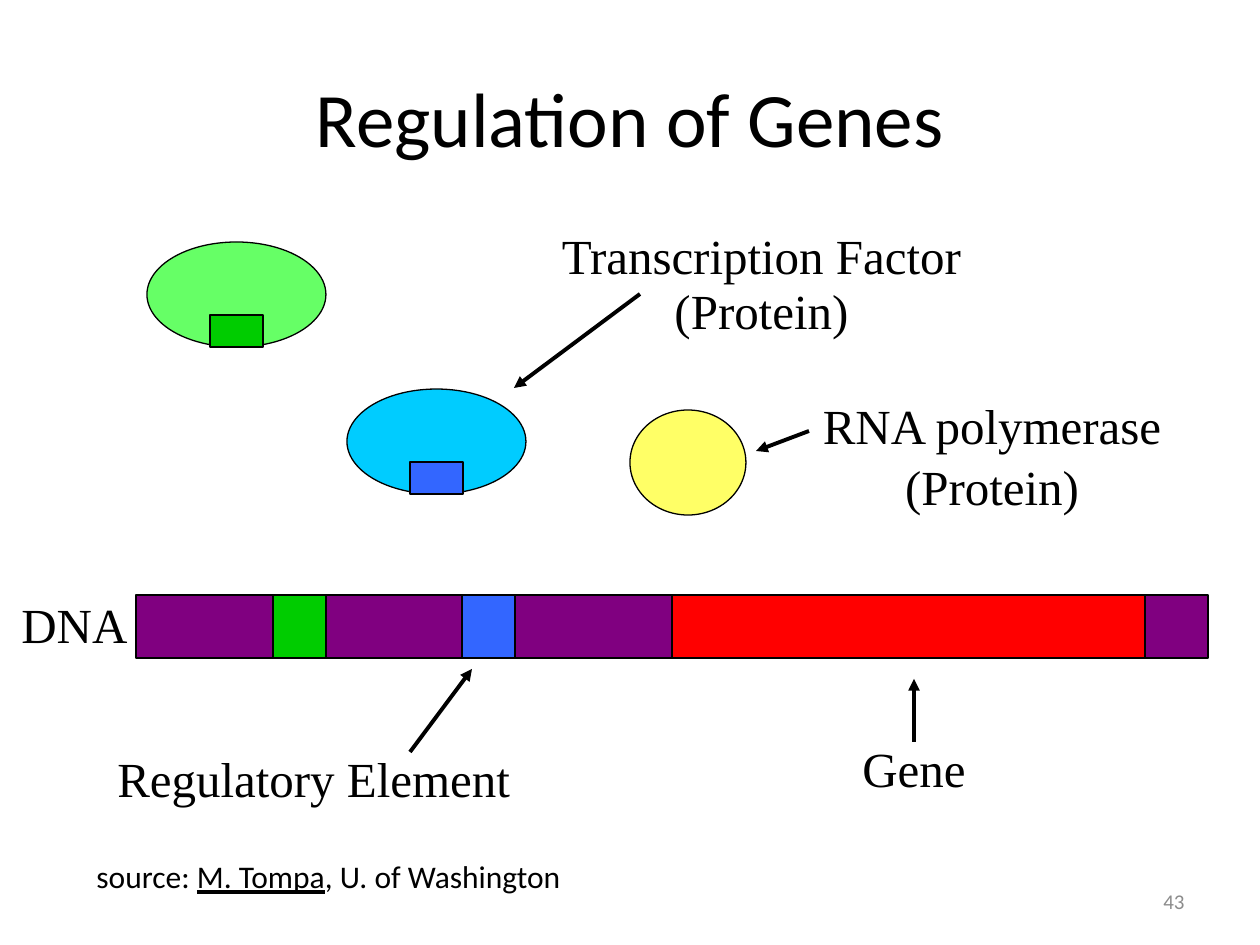
import pptx
import pptx.util
import pptx.dml.color
import pptx.enum.shapes
import pptx.enum.text
import pptx.oxml
import pptx.oxml.ns

PX = 914400 / 126  # EMU per pixel
THEME = {
    "black": "000000", "grey": "8C8C8C", "strand": "800080", "gene": "FF0000",
    "green": "00CC00", "light_green": "66FF66", "blue": "3366FF", "cyan": "00CCFF",
    "yellow": "FFFF66", "heading": "Calibri", "label": "Times New Roman",
    "title_size": 44, "label_size": 28, "source_size": 18, "number_size": 12,
}
MSO = pptx.enum.shapes.MSO_SHAPE
ALIGN = pptx.enum.text.PP_ALIGN
ANCHOR = pptx.enum.text.MSO_ANCHOR


def color(name):
    return pptx.dml.color.RGBColor.from_string(THEME[name])


def add_text(box, paragraphs, font="label", size="label_size", fill="black",
             align=ALIGN.LEFT, anchor=ANCHOR.TOP):
    """Each paragraph is (runs, line spacing, points before); a run is (text, underline)."""
    tf = s.shapes.add_textbox(*[round(v * PX) for v in box]).text_frame
    tf.word_wrap = True
    tf.vertical_anchor = anchor
    for i, (runs, spacing, before) in enumerate(paragraphs):
        p = tf.add_paragraph() if i else tf.paragraphs[0]
        p.alignment = align
        p.line_spacing = spacing
        if before:
            p.space_before = pptx.util.Pt(before)
        for text, underline in runs:
            r = p.add_run()
            r.text = text
            r.font.name = THEME[font]
            r.font.size = pptx.util.Pt(THEME[size])
            r.font.color.rgb = color(fill)
            r.font.underline = underline


prs = pptx.Presentation()
prs.slide_width = round(1260 * PX)
prs.slide_height = round(945 * PX)
s = prs.slides.add_slide(prs.slide_layouts[6])

# Title and page number
add_text((63, 38, 1134, 157), [([("Regulation of Genes", False)], 1.0, 0)],
         "heading", "title_size", align=ALIGN.CENTER, anchor=ANCHOR.MIDDLE)
add_text((903, 876, 294, 50), [([("43", False)], 1.0, 0)],
         "heading", "number_size", "grey", ALIGN.RIGHT, ANCHOR.MIDDLE)

# DNA strand with gene and binding sites, then the proteins
BAR_TOP, BAR_H = 595, 63
shapes = [(MSO.RECTANGLE, x, BAR_TOP, w, BAR_H, fill) for x, w, fill in (
    (136, 536, "strand"), (672, 473, "gene"), (1145, 63, "strand"),
    (273, 53, "green"), (462, 53, "blue"))]
for x, y, body, site in ((147, 242, "light_green", "green"), (347, 389, "cyan", "blue")):
    shapes.append((MSO.OVAL, x, y, 179, 105, body))
    shapes.append((MSO.RECTANGLE, x + 63, y + 73, 53, 32, site))
shapes.append((MSO.OVAL, 630, 410, 116, 105, "yellow"))

for kind, x, y, w, h, fill in shapes:
    sp = s.shapes.add_shape(kind, *[round(v * PX) for v in (x, y, w, h)])
    sp.shadow.inherit = False
    sp.fill.solid()
    sp.fill.fore_color.rgb = color(fill)
    sp.line.color.rgb = color("black")
    sp.line.width = pptx.util.Pt(0.75)

# Labels
for text, box in (("DNA", (9, 588, 134, 72)), ("Gene", (850, 732, 130, 72)),
                  ("Regulatory Element", (105, 742, 441, 72))):
    add_text(box, [([(text, False)], 1.0, 0)])
for name, box, first, second, before in (
        ("Transcription Factor", (536, 231, 451, 107), 0.8, 0.3, 17.5),
        ("RNA polymerase", (798, 410, 388, 112), 0.6, 0.6, 15)):
    add_text(box, [([(name, False)], first, 0), ([("(Protein)", False)], second, before)],
             align=ALIGN.CENTER)

# Arrows from the labels
for ends in ((410, 752, 472, 669), (640, 294, 514, 388),
             (809, 431, 756, 451), (914, 742, 914, 679)):
    arrow = s.shapes.add_connector(pptx.enum.shapes.MSO_CONNECTOR.STRAIGHT,
                                   *[round(v * PX) for v in ends])
    arrow.line.color.rgb = color("black")
    arrow.line.width = pptx.util.Pt(2.25)
    tail = pptx.oxml.parse_xml(f'<a:tailEnd {pptx.oxml.ns.nsdecls("a")} type="triangle"/>')
    arrow.line._get_or_add_ln().append(tail)
    arrow._element.spPr.append(
        pptx.oxml.parse_xml(f'<a:effectLst {pptx.oxml.ns.nsdecls("a")}/>'))

# Source
add_text((84, 851, 606, 50),
         [([("source: ", False), ("M. Tompa", True), (", U. of Washington", False)], 1.0, 0)],
         "heading", "source_size")

prs.save("out.pptx")
